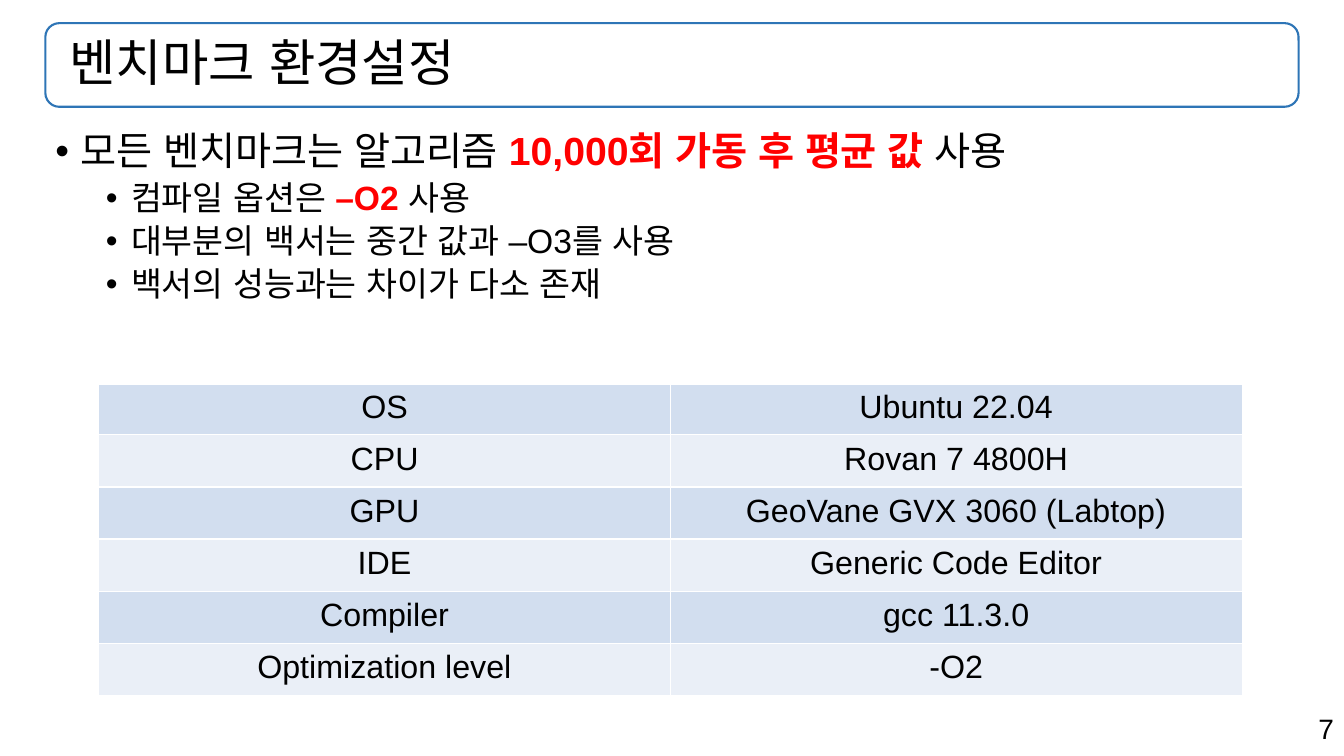
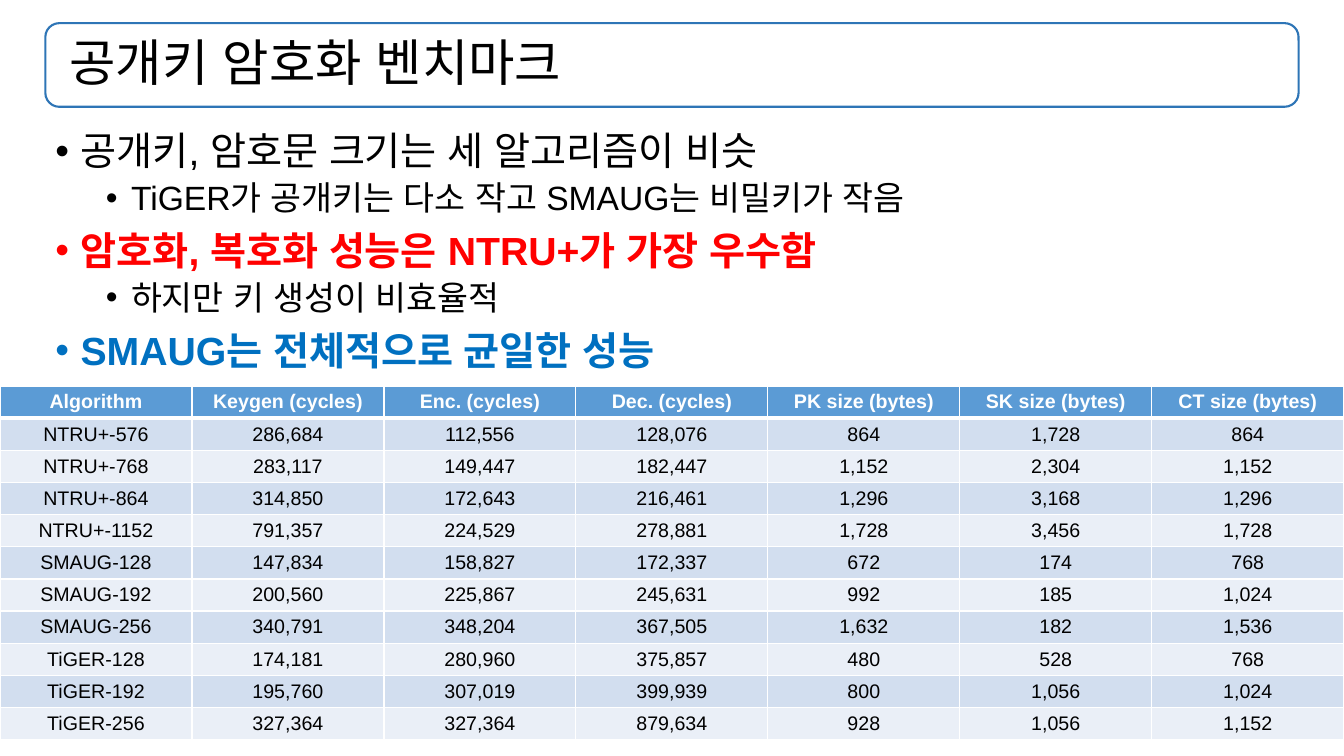
from lxml import etree
from pptx import Presentation
from pptx.dml.color import RGBColor
from pptx.enum import shapes, text
from pptx.oxml import ns
from pptx.util import Inches, Pt

HUES = {
    "ink": "000000", "red": "FF0000", "blue": "0070C0", "frame": "2E75B6",
    "head": "5B9BD5", "dark": "D2DEEF", "light": "EAEFF7", "white": "FFFFFF",
}
FONT = "Arial"
BAR = [Inches(n) for n in (0.45, 0.23, 12.43, 0.83)]
BODY = [Inches(n) for n in (0.45, 1.26, 12.43, 5.53)]
LEVELS = [(28, 10, 0.25), (24, 5, 0.75)]

SETUP = [
    ("", ""),
    ("OS", "Ubuntu 22.04"),
    ("CPU", "Rovan 7 4800H"),
    ("GPU", "GeoVane GVX 3060 (Labtop)"),
    ("IDE", "Generic Code Editor"),
    ("Compiler", "gcc 11.3.0"),
    ("Optimization level", "-O2"),
]
SCORES = [
    ("Algorithm", "Keygen (cycles)", "Enc. (cycles)", "Dec. (cycles)",
     "PK size (bytes)", "SK size (bytes)", "CT size (bytes)"),
    ("NTRU+-576", "286,684", "112,556", "128,076", "864", "1,728", "864"),
    ("NTRU+-768", "283,117", "149,447", "182,447", "1,152", "2,304", "1,152"),
    ("NTRU+-864", "314,850", "172,643", "216,461", "1,296", "3,168", "1,296"),
    ("NTRU+-1152", "791,357", "224,529", "278,881", "1,728", "3,456", "1,728"),
    ("SMAUG-128", "147,834", "158,827", "172,337", "672", "174", "768"),
    ("SMAUG-192", "200,560", "225,867", "245,631", "992", "185", "1,024"),
    ("SMAUG-256", "340,791", "348,204", "367,505", "1,632", "182", "1,536"),
    ("TiGER-128", "174,181", "280,960", "375,857", "480", "528", "768"),
    ("TiGER-192", "195,760", "307,019", "399,939", "800", "1,056", "1,024"),
    ("TiGER-256", "327,364", "327,364", "879,634", "928", "1,056", "1,152"),
]


def hue(name):
    """Return the named colour."""
    return RGBColor.from_string(HUES[name])


def place(shape, box):
    """Move and size a shape."""
    shape.left, shape.top, shape.width, shape.height = box


def style(font, color="ink", bold=False, size=None):
    """Set the font's Latin and East Asian face, colour, weight and size."""
    font.name, font.bold = FONT, bold
    font.color.rgb = hue(color)
    etree.SubElement(font._element, ns.qn("a:ea"), typeface=FONT)
    if size:
        font.size = Pt(size)


def edge(cell, side, width):
    """Draw a white line on one side of a cell."""
    line = etree.SubElement(cell._tc.get_or_add_tcPr(), ns.qn(f"a:ln{side}"), w=str(Pt(width)))
    fill = etree.SubElement(line, ns.qn("a:solidFill"))
    etree.SubElement(fill, ns.qn("a:srgbClr"), val=HUES["white"])


class Deck:
    """Hold the presentation, its style and the current slide."""

    def __init__(self):
        """Start an empty wide deck."""
        self.prs = Presentation()
        self.prs.slide_width, self.prs.slide_height = Inches(13.33), Inches(7.5)
        self.slide = None

    def start(self, title):
        """Add a slide with its framed title."""
        self.slide = self.prs.slides.add_slide(self.prs.slide_layouts[1])
        bar = self.slide.shapes.add_shape(shapes.MSO_SHAPE.ROUNDED_RECTANGLE, *BAR)
        bar.shadow.inherit = False
        bar.fill.background()
        bar.line.color.rgb = hue("frame")
        bar.line.width = Pt(1.5)
        head = self.slide.shapes.title
        place(head, BAR)
        frame = head.text_frame
        frame.auto_size = text.MSO_AUTO_SIZE.NONE
        frame.vertical_anchor = text.MSO_ANCHOR.MIDDLE
        frame.margin_left = Inches(0.24)
        frame.text = title
        para = frame.paragraphs[0]
        para.alignment = text.PP_ALIGN.LEFT
        para.line_spacing = 0.9
        style(para.font, size=36)

    def bullets(self, *items):
        """Fill the body with (level, run, ...) items, each run a (text, colour) pair."""
        body = self.slide.placeholders[1]
        place(body, BODY)
        frame = body.text_frame
        frame.auto_size = text.MSO_AUTO_SIZE.NONE
        for i, (level, *runs) in enumerate(items):
            para = frame.add_paragraph() if i else frame.paragraphs[0]
            size, gap, left = LEVELS[level]
            para.level = level
            para.line_spacing = 0.9
            para.space_before = Pt(gap if i else 0)
            props = para._p.get_or_add_pPr()
            props.set("marL", str(Inches(left)))
            props.set("indent", str(Inches(-0.25)))
            etree.SubElement(props, ns.qn("a:buChar"), char="•")
            first = runs[0][1]
            style(para.font, first, first != "ink", size)
            for words, color in runs:
                run = para.add_run()
                run.text = words
                if len(runs) > 1:
                    style(run.font, color, color != "ink")

    def table(self, rows, box, size, pads, anchor):
        """Add a banded table with white rules; an empty header stays unfilled."""
        grid = self.slide.shapes.add_table(len(rows), len(rows[0]), *map(Inches, box)).table
        for r, row in enumerate(rows):
            band = ("light", "dark")[r % 2] if r else "head"
            for c, words in enumerate(row):
                cell = grid.cell(r, c)
                for side in "LRTB":
                    edge(cell, side, 3 if (r, side) in ((0, "B"), (1, "T")) else 1)
                if words:
                    cell.fill.solid()
                    cell.fill.fore_color.rgb = hue(band)
                else:
                    cell.fill.background()
                cell.margin_left = cell.margin_right = Inches(pads[0])
                cell.margin_top = cell.margin_bottom = Inches(pads[1])
                cell.vertical_anchor = anchor
                cell.text = words
                para = cell.text_frame.paragraphs[0]
                para.alignment = text.PP_ALIGN.CENTER
                style(para.font, "ink" if r else "white", not r, size)

    def number(self, page):
        """Add the page number at the lower right."""
        box = self.slide.shapes.add_textbox(*map(Inches, (9.43, 7.01, 3.9, 0.44)))
        frame = box.text_frame
        frame.word_wrap = True
        frame.text = page
        para = frame.paragraphs[0]
        para.alignment = text.PP_ALIGN.RIGHT
        style(para.font, size=20)


def main():
    """Build and save the deck."""
    deck = Deck()

    deck.start("벤치마크 환경설정")
    deck.bullets(
        (0, ("모든 벤치마크는 알고리즘 ", "ink"), ("10,000회 가동 후 평균 값", "red"), (" 사용", "ink")),
        (1, ("컴파일 옵션은 ", "ink"), ("–O2 ", "red"), ("사용", "ink")),
        (1, ("대부분의 백서는 중간 값과 –O3를 사용", "ink")),
        (1, ("백서의 성능과는 차이가 다소 존재", "ink")),
    )
    deck.table(SETUP, (0.98, 3.28, 11.34, 3.62), 23, (0.13, 0.06), text.MSO_ANCHOR.TOP)
    deck.number("7")

    deck.start("공개키 암호화 벤치마크")
    deck.bullets(
        (0, ("공개키, 암호문 크기는 세 알고리즘이 비슷", "ink")),
        (1, ("TiGER가 공개키는 다소 작고 SMAUG는 비밀키가 작음", "ink")),
        (0, ("암호화, 복호화 성능은 NTRU+가 가장 우수함", "red")),
        (1, ("하지만 키 생성이 비효율적", "ink")),
        (0, ("SMAUG는 전체적으로 균일한 성능", "blue")),
    )
    deck.table(SCORES, (0, 3.83, 13.33, 3.51), 14, (0.1, 0.05), text.MSO_ANCHOR.MIDDLE)

    deck.prs.save("out.pptx")


if __name__ == "__main__":
    main()
